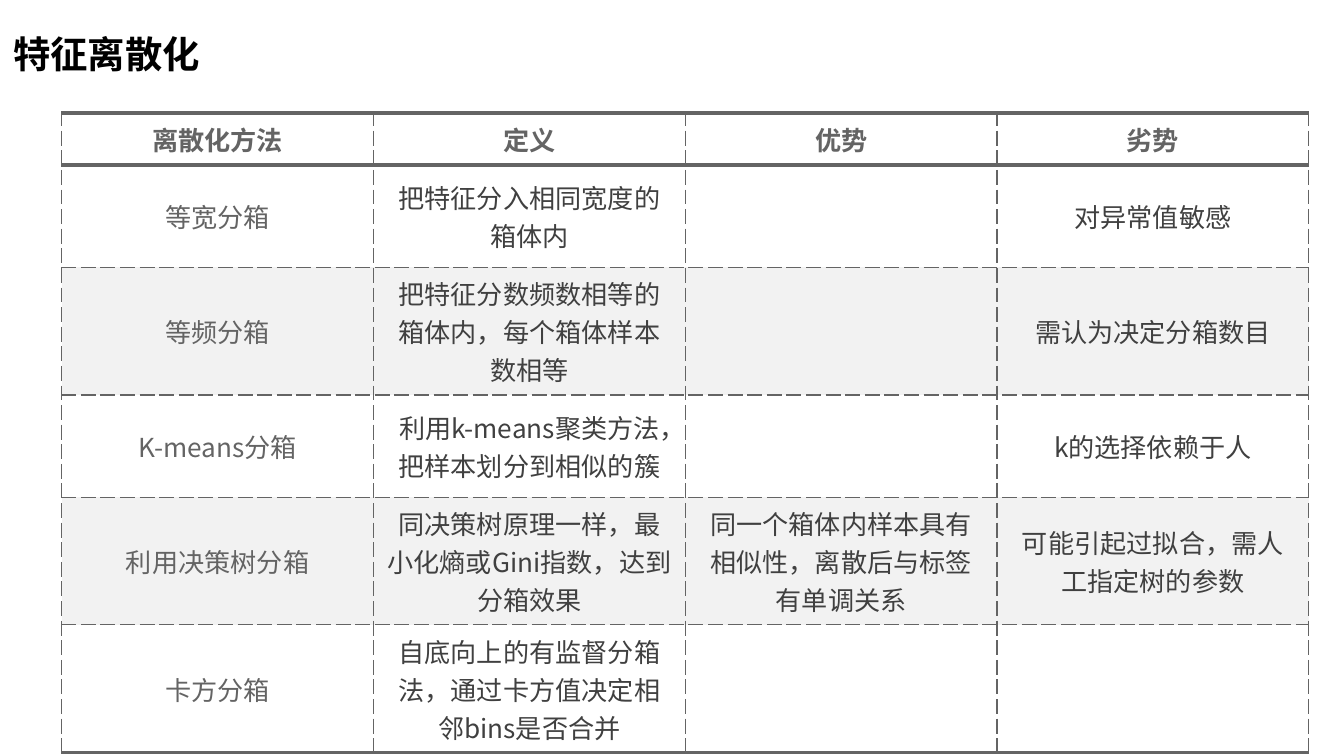
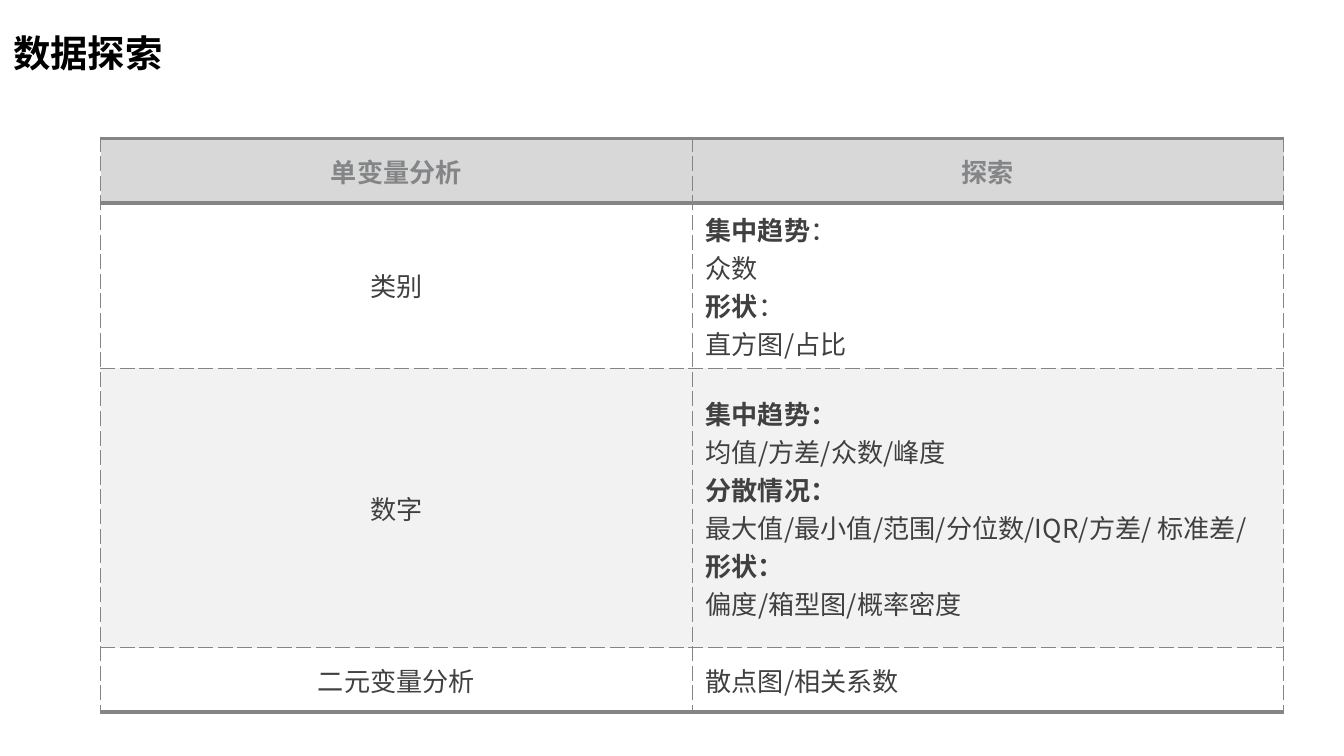
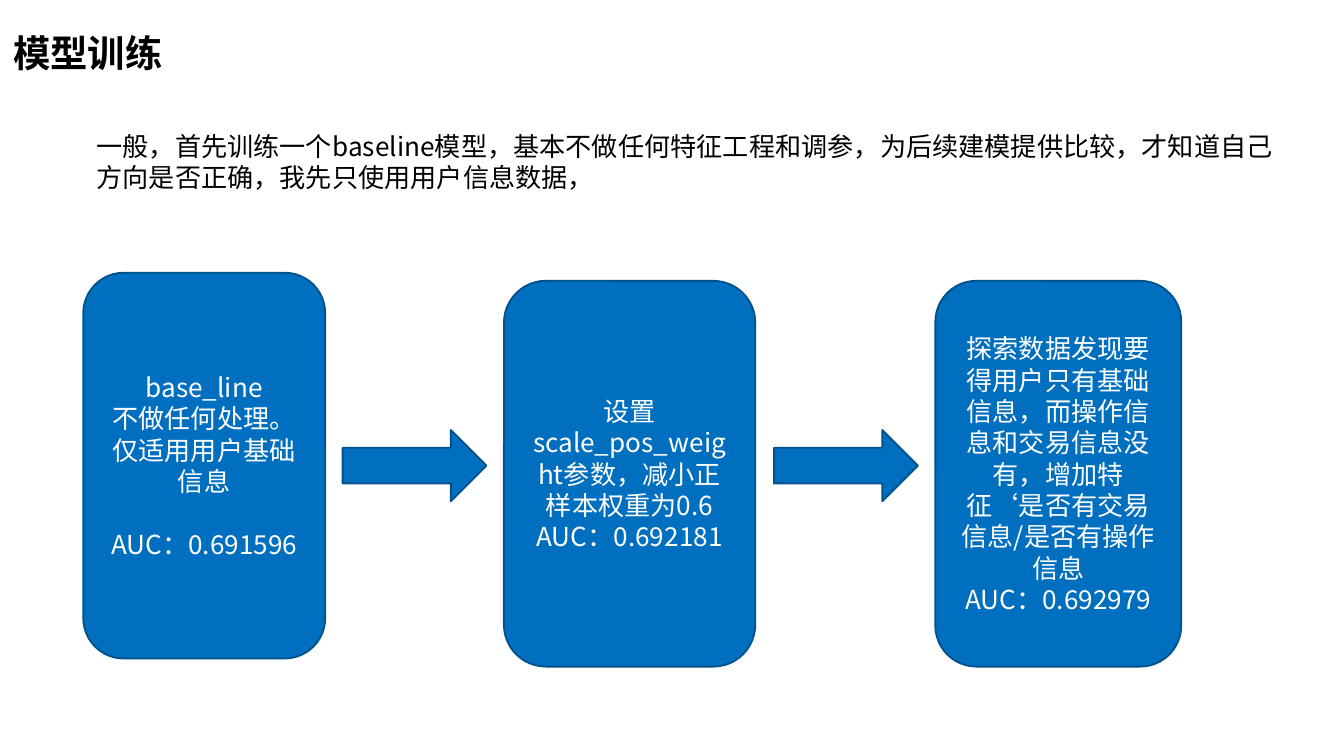
from dataclasses import dataclass

from lxml import etree
from pptx import Presentation
from pptx.dml.color import RGBColor
from pptx.enum.shapes import MSO_SHAPE
from pptx.enum.text import MSO_ANCHOR, PP_ALIGN
from pptx.oxml.ns import qn
from pptx.util import Inches, Pt

ROUNDED, ARROW = MSO_SHAPE.ROUNDED_RECTANGLE, MSO_SHAPE.RIGHT_ARROW
LEFT, CENTER = PP_ALIGN.LEFT, PP_ALIGN.CENTER
TOP, MIDDLE = MSO_ANCHOR.TOP, MSO_ANCHOR.MIDDLE


@dataclass(frozen=True)
class Theme:
    font: str = "Noto Sans CJK SC"
    title_size: int = 20
    body_size: int = 14
    black: str = "000000"
    white: str = "FFFFFF"
    text: str = "404040"
    dark_grey: str = "646464"
    mid_grey: str = "848587"
    header_grey: str = "D8D8D8"
    band_grey: str = "F2F2F2"
    blue: str = "006FBF"
    blue_edge: str = "00528D"
    heavy_rule: float = 2.25
    thin_rule: float = 0.75


THEME = Theme()

METHOD_ROWS = [
    ["离散化方法", "定义", "优势", "劣势"],
    ["等宽分箱", "把特征分入相同宽度的箱体内", "", "对异常值敏感"],
    ["等频分箱", "把特征分数频数相等的箱体内，每个箱体样本数相等", "", "需认为决定分箱数目"],
    ["K-means分箱", "利用k-means聚类方法，把样本划分到相似的簇", "", "k的选择依赖于人"],
    ["利用决策树分箱", "同决策树原理一样，最小化熵或Gini指数，达到分箱效果",
     "同一个箱体内样本具有相似性，离散后与标签有单调关系", "可能引起过拟合，需人工指定树的参数"],
    ["卡方分箱", "自底向上的有监督分箱法，通过卡方值决定相邻bins是否合并", "", ""],
]
METHOD_HEIGHTS = [0.39, 0.76, 0.95, 0.76, 0.95, 0.95]

EXPLORE_ROWS = [
    ["单变量分析", "探索"],
    ["类别", [[("集中趋势", True), ("：", False)], "众数",
            [("形状", True), ("：", False)], "直方图/占比"]],
    ["数字", [[("集中趋势：", True)], "均值/方差/众数/峰度",
            [("分散情况：", True)], "最大值/最小值/范围/分位数/IQR/方差/ 标准差/",
            [("形状：", True)], "偏度/箱型图/概率密度"]],
    ["二元变量分析", "散点图/相关系数"],
]
EXPLORE_HEIGHTS = [0.48, 1.23, 2.08, 0.48]

INTRO = ("一般，首先训练一个baseline模型，基本不做任何特征工程和调参，"
         "为后续建模提供比较，才知道自己方向是否正确，我先只使用用户信息数据，")

# left, top, width, paragraphs, space before the AUC line
STEPS = [
    (0.62, 2.03, 1.8,
     ["base_line", "不做任何处理。仅适用用户基础信息", "AUC：0.691596"], 17),
    (3.75, 2.09, 1.87,
     ["设置scale_pos_weight参数，减小正样本权重为0.6", "AUC：0.692181"], 0),
    (6.96, 2.09, 1.83,
     ["探索数据发现要得用户只有基础信息，而操作信息和交易信息没有，"
      "增加特征‘是否有交易信息/是否有操作信息", "AUC：0.692979"], 0),
]
STEP_HEIGHT = 2.87
ARROW_LEFTS = [2.55, 5.76]


def rgb(color):
    return RGBColor.from_string(color)


def add_run(p, text, color, size, bold):
    r = p.add_run()
    r.text = text
    r.font.size, r.font.bold = Pt(size), bold
    r.font.color.rgb = rgb(color)
    r.font.name = THEME.font
    etree.SubElement(r._r.get_or_add_rPr(), qn("a:ea"), typeface=THEME.font)


def write(tf, content, color, size=THEME.body_size, bold=False, align=LEFT):
    """Fill a frame from one string, or a list of strings and (text, bold) lists."""
    paragraphs = content if isinstance(content, list) else [content]
    for i, runs in enumerate(paragraphs):
        p = tf.paragraphs[0] if i == 0 else tf.add_paragraph()
        p.alignment = align
        if isinstance(runs, str):
            runs = [(runs, bold)] if runs else []
        for text, strong in runs:
            add_run(p, text, color, size, strong)


def add_text(slide, box, content, anchor=TOP, **style):
    tf = slide.shapes.add_textbox(*map(Inches, box)).text_frame
    tf.word_wrap = True
    tf.vertical_anchor = anchor
    write(tf, content, THEME.black, **style)


def add_slide(prs, title, top=0.1):
    slide = prs.slides.add_slide(prs.slide_layouts[6])
    add_text(slide, (0, top, 7.57, 0.58), title, MIDDLE,
             size=THEME.title_size, bold=True)
    return slide


def set_border(cell, side, color, heavy):
    width = THEME.heavy_rule if heavy else THEME.thin_rule
    ln = etree.SubElement(cell._tc.get_or_add_tcPr(), qn(f"a:ln{side}"), w=str(Pt(width)))
    fill = etree.SubElement(ln, qn("a:solidFill"))
    etree.SubElement(fill, qn("a:srgbClr"), val=color)
    etree.SubElement(ln, qn("a:prstDash"), val="solid" if heavy else "sysDash")


def add_ruled_table(slide, left, top, col_width, heights, rows, rule_color,
                    header_fill, first_color, body_align):
    """Heavy rules around the header and at the foot, dashed rules elsewhere."""
    n_cols, last = len(rows[0]), len(rows) - 1
    frame = slide.shapes.add_table(len(rows), n_cols, Inches(left), Inches(top),
                                   Inches(col_width * n_cols), Inches(sum(heights)))
    table = frame.table
    table.first_row = table.horz_banding = False
    for column in table.columns:
        column.width = Inches(col_width)
    for i, (row, height) in enumerate(zip(rows, heights)):
        table.rows[i].height = Inches(height)
        band = THEME.white if i % 2 else THEME.band_grey
        if i == last:
            band = THEME.white
        for j, content in enumerate(row):
            cell = table.cell(i, j)
            for side, heavy in (("L", False), ("R", False),
                                ("T", i <= 1), ("B", i in (0, last))):
                set_border(cell, side, rule_color, heavy)
            cell.fill.solid()
            cell.fill.fore_color.rgb = rgb(band if i else header_fill)
            cell.vertical_anchor = MIDDLE
            color = rule_color if i == 0 else THEME.text if j else first_color
            write(cell.text_frame, content, color, bold=i == 0,
                  align=body_align if i and j else CENTER)


def add_blue_shape(slide, kind, *box):
    sp = slide.shapes.add_shape(kind, *map(Inches, box))
    sp.shadow.inherit = False
    sp.fill.solid()
    sp.fill.fore_color.rgb = rgb(THEME.blue)
    sp.line.color.rgb = rgb(THEME.blue_edge)
    sp.line.width = Pt(1)
    return sp


def add_step(slide, left, top, width, lines, gap):
    tf = add_blue_shape(slide, ROUNDED, left, top, width, STEP_HEIGHT).text_frame
    tf.word_wrap = True
    tf.vertical_anchor = MIDDLE
    write(tf, lines, THEME.white, align=CENTER)
    if gap:
        tf.paragraphs[-1].space_before = Pt(gap)


def main():
    prs = Presentation()
    prs.slide_width = Inches(10)
    prs.slide_height = prs.slide_width * 9 // 16

    slide = add_slide(prs, "特征离散化", top=0.11)
    add_ruled_table(slide, 0.46, 0.84, 2.32, METHOD_HEIGHTS, METHOD_ROWS,
                    THEME.dark_grey, THEME.white, THEME.dark_grey, CENTER)

    slide = add_slide(prs, "数据探索")
    add_ruled_table(slide, 0.75, 1.03, 4.4, EXPLORE_HEIGHTS, EXPLORE_ROWS,
                    THEME.mid_grey, THEME.header_grey, THEME.text, LEFT)

    slide = add_slide(prs, "模型训练")
    add_text(slide, (0.62, 0.92, 9.12, 0.57), INTRO)
    for step in STEPS:
        add_step(slide, *step)
    for left in ARROW_LEFTS:
        add_blue_shape(slide, ARROW, left, 3.2, 1.07, 0.53)

    prs.save("out.pptx")


if __name__ == "__main__":
    main()
